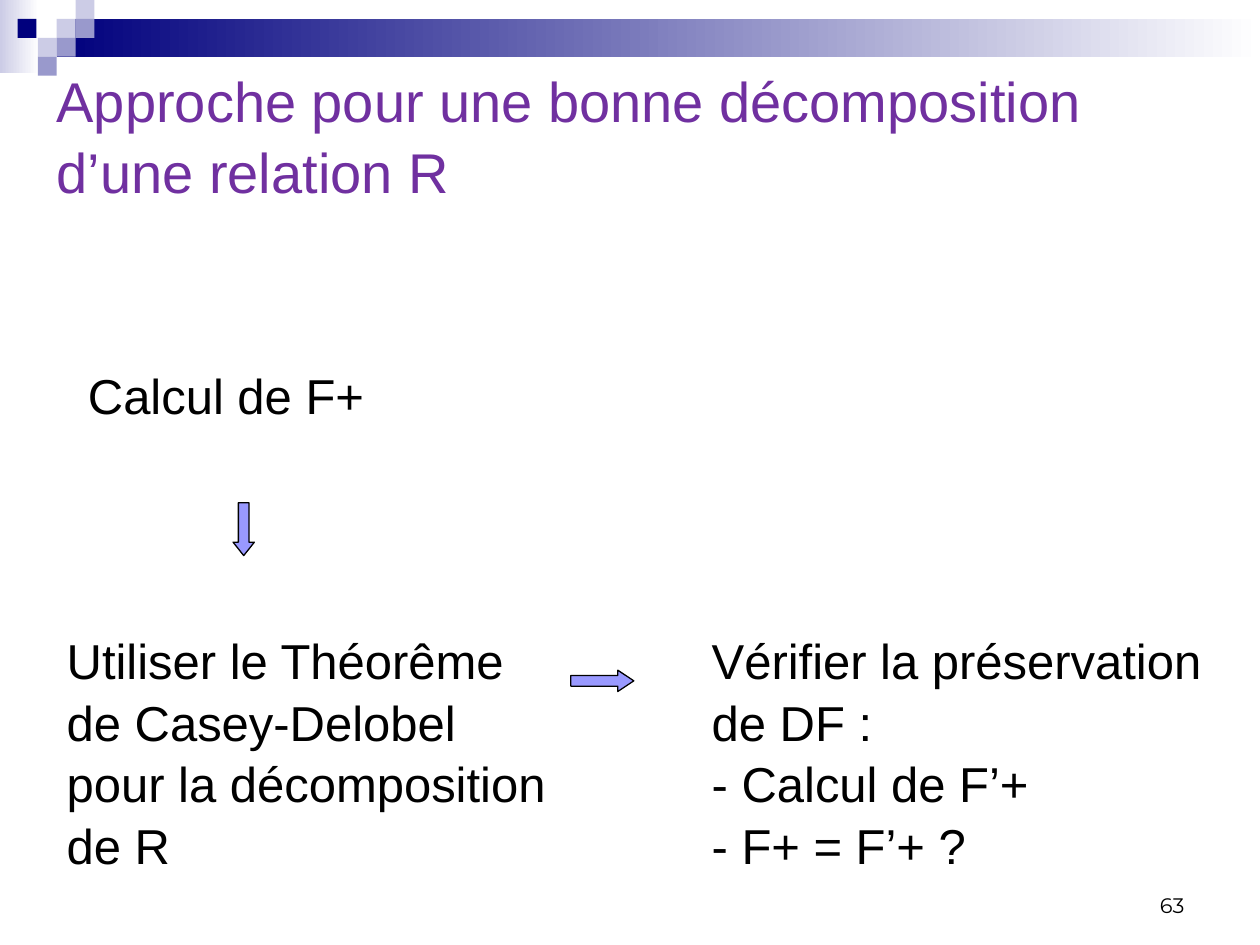
"""Build the slide on decomposing a relation R."""
from pptx import Presentation
from pptx import util as u
from pptx.dml.color import RGBColor
from pptx.enum import shapes, text

NAVY = RGBColor(0x00, 0x00, 0x7D)
LAVENDER = RGBColor(0xCC, 0xCC, 0xE6)
MAUVE = RGBColor(0x99, 0x99, 0xCC)
PERIWINKLE = RGBColor(0x99, 0x99, 0xFF)
PURPLE = RGBColor(0x70, 0x30, 0xA0)
BLACK = RGBColor(0x00, 0x00, 0x00)
WHITE = RGBColor(0xFF, 0xFF, 0xFF)

TILE = 10.8
TILES = [
    (3, 1, LAVENDER), (4, 0, LAVENDER), (4, 1, MAUVE), (2, 2, LAVENDER),
    (0.93, 1, NAVY), (3, 2, MAUVE), (2, 3, MAUVE),
]


def points(*lengths):
    """Return the lengths as point measures."""
    return [u.Pt(length) for length in lengths]


def add_preset(slide, preset, box):
    """Add a preset shape without shadow or outline."""
    shape = slide.shapes.add_shape(preset, *points(*box))
    shape.shadow.inherit = False
    shape.line.fill.background()
    return shape


def add_band(slide, box, start):
    """Add a band that fades to white from left to right."""
    fill = add_preset(slide, shapes.MSO_SHAPE.RECTANGLE, box).fill
    fill.gradient()
    fill.gradient_angle = 0
    for stop, color in zip(fill.gradient_stops, (start, WHITE)):
        stop.color.rgb = color


def add_tile(slide, column, row, color):
    """Add one square of the corner mosaic."""
    box = (column * TILE, row * TILE, TILE, TILE)
    fill = add_preset(slide, shapes.MSO_SHAPE.RECTANGLE, box).fill
    fill.solid()
    fill.fore_color.rgb = color


def add_arrow(slide, preset, box, head):
    """Add an outlined block arrow with the given head length."""
    arrow = add_preset(slide, preset, box)
    arrow.adjustments[1] = head
    arrow.fill.solid()
    arrow.fill.fore_color.rgb = PERIWINKLE
    arrow.line.color.rgb = BLACK
    arrow.line.width = u.Pt(0.75)


def write(shape, wording, size=28, font="Arial", color=BLACK, spacing=1.05,
          align=text.PP_ALIGN.LEFT, anchor=text.MSO_ANCHOR.TOP, wrap=True):
    """Write the wording into a shape, one paragraph per line."""
    frame = shape.text_frame
    frame.word_wrap = wrap
    frame.auto_size = text.MSO_AUTO_SIZE.NONE
    frame.vertical_anchor = anchor
    frame.text = wording
    for paragraph in frame.paragraphs:
        paragraph.alignment = align
        paragraph.line_spacing = spacing
        paragraph.font.size = u.Pt(size)
        paragraph.font.name = font
        paragraph.font.color.rgb = color


def add_label(slide, box, wording, **style):
    """Add a text box with the given wording and format."""
    write(slide.shapes.add_textbox(*points(*box)), wording, **style)


def set_title(slide, box, wording, **style):
    """Place and fill the title placeholder."""
    title = slide.shapes.title
    title.left, title.top, title.width, title.height = points(*box)
    write(title, wording, **style)


def main():
    """Build and save the slide."""
    deck = Presentation()
    deck.slide_width, deck.slide_height = points(720, 540)
    slide = deck.slides.add_slide(deck.slide_layouts[5])

    add_band(slide, (0, 0, 22.3, 41.8), LAVENDER)
    add_band(slide, (3 * TILE, TILE, 720 - 3 * TILE, 2 * TILE), NAVY)
    for column, row, color in TILES:
        add_tile(slide, column, row, color)

    set_title(slide, (25.2, 31.7, 666, 90),
              "Approche pour une bonne décomposition d’une relation R",
              size=32, color=PURPLE, anchor=text.MSO_ANCHOR.MIDDLE)
    add_label(slide, (43.2, 203.8, 172, 41), "Calcul de F+", wrap=False)
    add_arrow(slide, shapes.MSO_SHAPE.DOWN_ARROW, (133.2, 287.3, 12.2, 30.2), 0.63)
    add_label(slide, (31, 355, 289.4, 170.6),
              "Utiliser le Théorême de Casey-Delobel pour la décomposition de R")
    add_arrow(slide, shapes.MSO_SHAPE.RIGHT_ARROW, (326.2, 383, 36, 12.2), 0.75)
    add_label(slide, (399.6, 355, 320.4, 141.8),
              "Vérifier la préservation de DF :\n- Calcul de F’+\n- F+ = F’+ ?")
    add_label(slide, (516.2, 491.8, 167.8, 36), "63", size=12, font="Montserrat",
              spacing=1.0, align=text.PP_ALIGN.RIGHT, anchor=text.MSO_ANCHOR.BOTTOM)

    deck.save("out.pptx")


if __name__ == "__main__":
    main()
